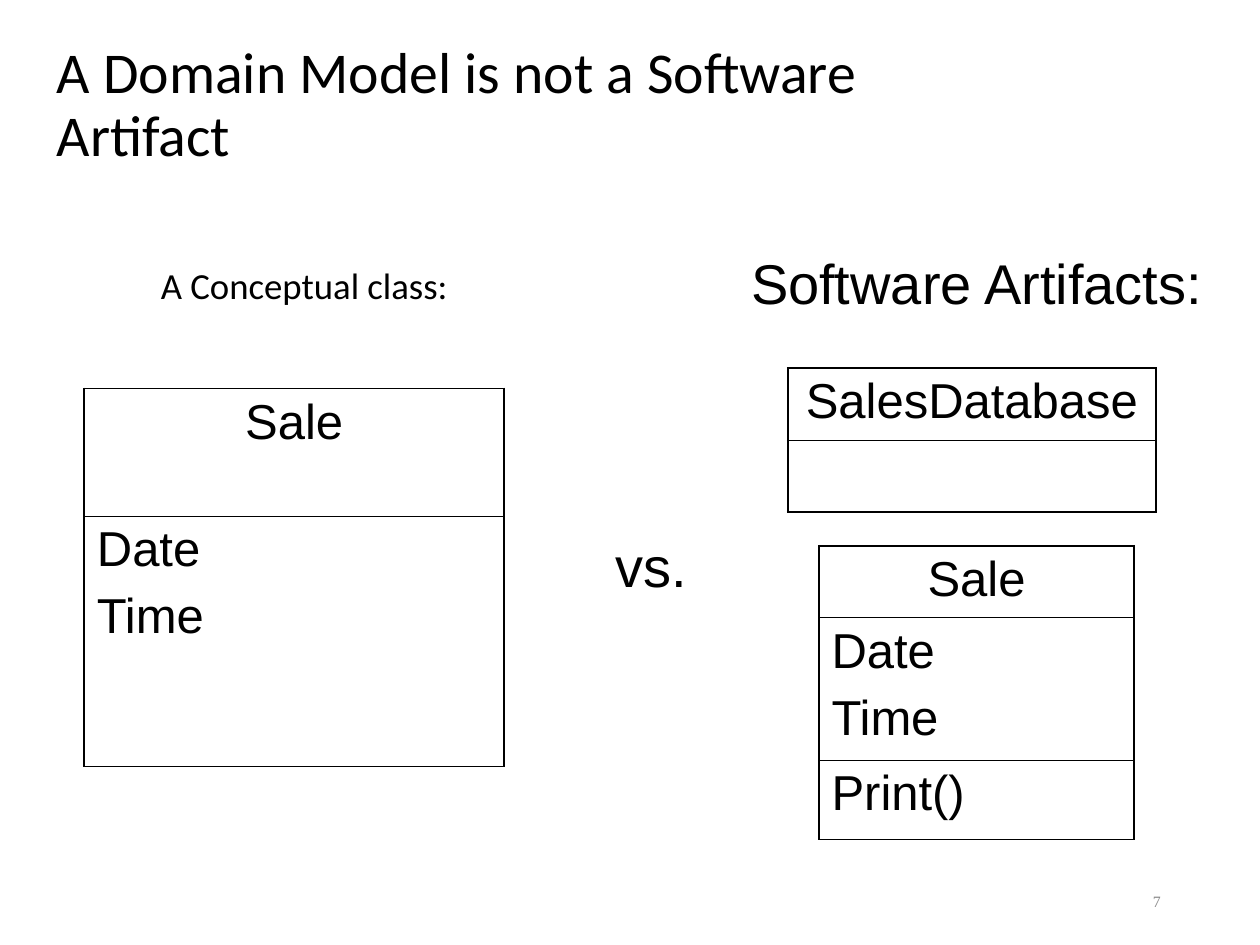
import pptx
import pptx.util
import pptx.dml.color
import pptx.enum.text
import pptx.oxml
import pptx.oxml.ns

Cm, Pt = pptx.util.Cm, pptx.util.Pt
Align = pptx.enum.text.PP_ALIGN
Anchor = pptx.enum.text.MSO_ANCHOR
BLACK = pptx.dml.color.RGBColor(0x00, 0x00, 0x00)
GREY = pptx.dml.color.RGBColor(0x89, 0x89, 0x89)
THICK, THIN = Pt(1.08), Pt(0.45)


def write(par, text, size, font, align=Align.LEFT, space=0, hang=0, color=BLACK):
    par.alignment = align
    par.space_before = Pt(space)
    props = par._p.get_or_add_pPr()
    props.set("marL", str(Cm(hang)))
    props.set("indent", str(-Cm(hang)))
    run = par.add_run()
    run.text = text
    run.font.size = Pt(size)
    run.font.name = font
    run.font.bold = False
    run.font.color.rgb = color


def edge(cell, side, width):
    cell._tc.get_or_add_tcPr().append(pptx.oxml.parse_xml(
        f'<a:{side} {pptx.oxml.ns.nsdecls("a")} w="{width}"><a:solidFill>'
        f'<a:srgbClr val="{BLACK}"/></a:solidFill></a:{side}>'))


deck = pptx.Presentation()
deck.slide_width, deck.slide_height = Cm(25.4), Cm(19.05)
slide = deck.slides.add_slide(deck.slide_layouts[1])

# Title and left heading
title, body = slide.shapes.title, slide.placeholders[1]
heads = [
    (title, (0.89, 0.15, 20.29, 3.99), "A Domain Model is not a Software Artifact",
     33, Align.LEFT, 0, 0, Anchor.MIDDLE),
    (body, (0.84, 5.28, 10.59, 2.11), "A Conceptual class:",
     21, Align.CENTER, 7.5, 0.48, Anchor.TOP),
]
for shape, box, text, size, align, space, hang, anchor in heads:
    shape.left, shape.top, shape.width, shape.height = map(Cm, box)
    frame = shape.text_frame
    frame.auto_size = pptx.enum.text.MSO_AUTO_SIZE.NONE
    frame.vertical_anchor = anchor
    par = frame.paragraphs[0]
    par.line_spacing = 0.9
    write(par, text, size, "Calibri", align, space, hang)
bullet = pptx.oxml.parse_xml(f'<a:buNone {pptx.oxml.ns.nsdecls("a")}/>')
body.text_frame.paragraphs[0]._p.get_or_add_pPr().append(bullet)

# Class boxes: left, top, width, then a height and lines for each row
boxes = [
    (1.7, 7.83, 8.46, [(2.57, ["Sale"]), (5.05, ["Date", "Time"])]),
    (15.88, 7.42, 7.42, [(1.45, ["SalesDatabase"]), (1.45, [])]),
    (16.51, 11, 6.35, [(1.45, ["Sale"]), (2.87, ["Date", "Time"]),
                       (1.6, ["Print()"])]),
]
for left, top, width, rows in boxes:
    high = sum(row[0] for row in rows)
    table = slide.shapes.add_table(
        len(rows), 1, Cm(left), Cm(top), Cm(width), Cm(high)).table
    table.first_row = table.horz_banding = False
    for i, (height, lines) in enumerate(rows):
        table.rows[i].height = Cm(height)
        cell = table.cell(i, 0)
        edge(cell, "lnL", THICK)
        edge(cell, "lnR", THICK)
        edge(cell, "lnT", THICK if i == 0 else THIN)
        edge(cell, "lnB", THICK if i == len(rows) - 1 else THIN)
        cell.fill.background()
        align = Align.CENTER if i == 0 else Align.LEFT
        frame = cell.text_frame
        for j, line in enumerate(lines):
            par = frame.add_paragraph() if j else frame.paragraphs[0]
            write(par, line, 28, "Arial", align, 7)

# Right heading, comparison word and slide number
notes = [
    ((14.4, 4.88, 10.59, 2.11), "Software Artifacts:", 32, "Arial",
     Align.CENTER, 8, 0.97, BLACK, Anchor.TOP),
    ((10.59, 10.59, 5.08, 2.11), "vs.", 32, "Arial",
     Align.CENTER, 8, 0.97, BLACK, Anchor.TOP),
    ((17.93, 17.65, 5.72, 1.02), "7", 9, "Times New Roman",
     Align.RIGHT, 0, 0, GREY, Anchor.MIDDLE),
]
for box, text, size, font, align, space, hang, color, anchor in notes:
    frame = slide.shapes.add_textbox(*map(Cm, box)).text_frame
    frame.word_wrap = True
    frame.vertical_anchor = anchor
    write(frame.paragraphs[0], text, size, font, align, space, hang, color)

deck.save("out.pptx")
